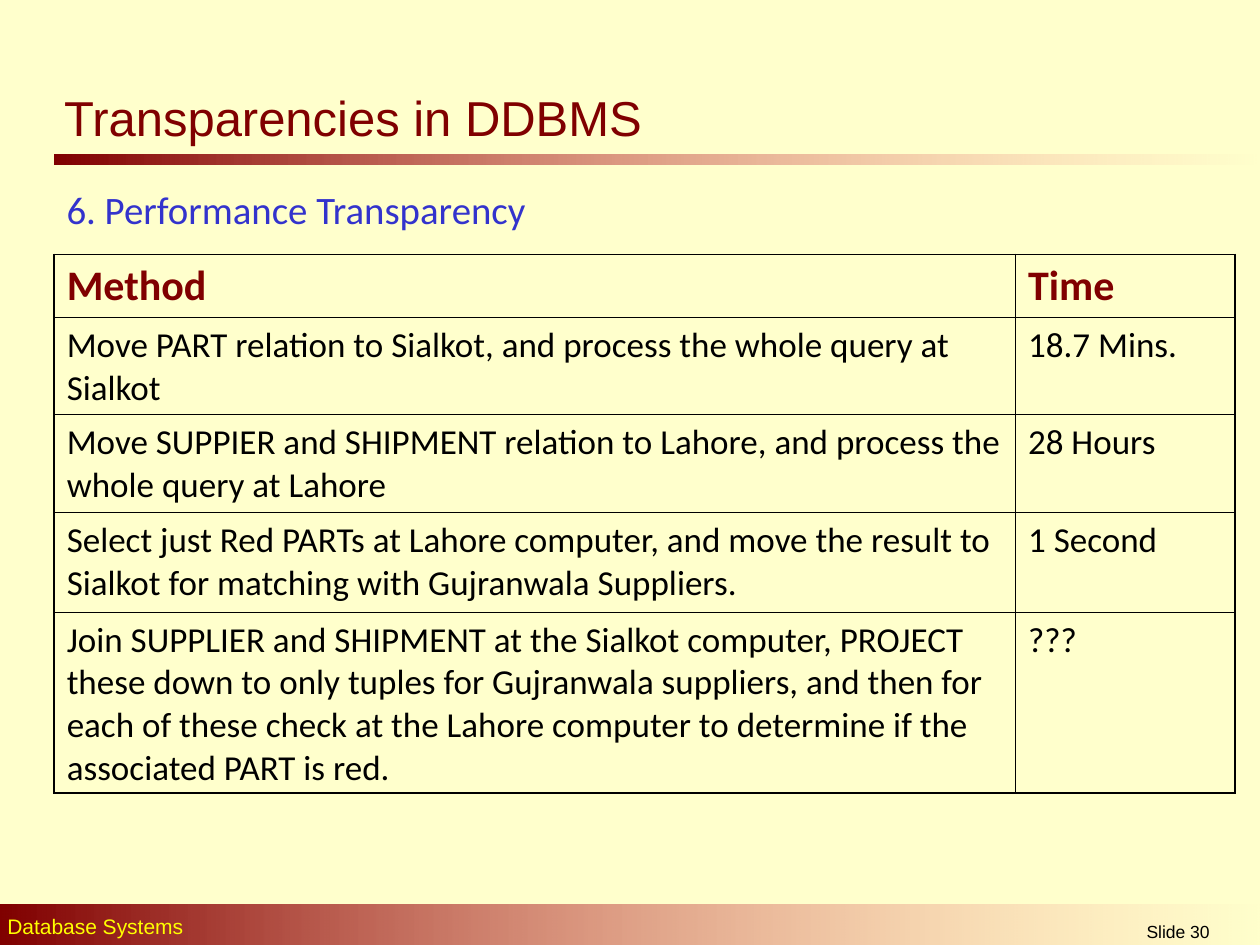
from lxml import etree
from pptx import Presentation
from pptx.dml.color import RGBColor
from pptx.enum.shapes import MSO_SHAPE
from pptx.enum.text import MSO_ANCHOR, MSO_AUTO_SIZE, PP_ALIGN
from pptx.oxml.ns import qn
from pptx.util import Inches, Pt

RECT = MSO_SHAPE.RECTANGLE
MIDDLE = MSO_ANCHOR.MIDDLE
TOP = MSO_ANCHOR.TOP
FIXED = MSO_AUTO_SIZE.NONE
LEFT = PP_ALIGN.LEFT
CENTER = PP_ALIGN.CENTER

COLORS = {
    "paper": "FFFFCC",
    "maroon": "800000",
    "pink": "FF8585",
    "blue": "3333CC",
    "yellow": "FFFF00",
    "black": "000000",
}
THICK, THIN = 1.08, 0.45


def color(name):
    return RGBColor.from_string(COLORS[name])


class Deck:
    def __init__(self, width, height):
        self.prs = Presentation()
        self.prs.slide_width = Inches(width)
        self.prs.slide_height = Inches(height)
        self.slide = None

    def page(self):
        self.slide = self.prs.slides.add_slide(self.prs.slide_layouts[5])
        fill = self.slide.background.fill
        fill.solid()
        fill.fore_color.rgb = color("paper")

    def put(self, frame, text, size, ink, font, bold=False, align=LEFT, before=0):
        para = frame.paragraphs[0]
        para.alignment = align
        para.space_before = Pt(before)
        run = para.add_run()
        run.text = text
        run.font.size = Pt(size)
        run.font.name = font
        run.font.bold = bold
        run.font.color.rgb = color(ink)
        return para

    def bar(self, *box):
        shape = self.slide.shapes.add_shape(RECT, *map(Inches, box))
        shape.shadow.inherit = False
        shape.line.fill.background()
        shape.fill.gradient()
        shape.fill.gradient_angle = 0
        first, last = shape.fill.gradient_stops
        first.color.rgb = color("maroon")
        last.color.rgb = color("pink")
        # Fade the right end out completely
        tint = shape._element.spPr.findall(".//" + qn("a:srgbClr"))[-1]
        etree.SubElement(tint, qn("a:alpha"), val="0")

    def title(self, box, text, size, ink, font):
        shape = self.slide.shapes.title
        shape.left, shape.top, shape.width, shape.height = map(Inches, box)
        frame = shape.text_frame
        frame.auto_size = FIXED
        frame.vertical_anchor = MIDDLE
        self.put(frame, text, size, ink, font)

    def label(self, box, text, size, ink, font, align=LEFT, before=0, pitch=None):
        frame = self.slide.shapes.add_textbox(*map(Inches, box)).text_frame
        frame.word_wrap = True
        para = self.put(frame, text, size, ink, font, align=align, before=before)
        if pitch:
            para.line_spacing = pitch

    def edges(self, cell, widths):
        props = cell._tc.get_or_add_tcPr()
        for side, width in zip("LRTB", widths):
            line = etree.SubElement(props, qn("a:ln" + side), w=str(int(Pt(width))))
            fill = etree.SubElement(line, qn("a:solidFill"))
            etree.SubElement(fill, qn("a:srgbClr"), val=COLORS["black"])

    def table(self, left, top, cols, rows, data, font):
        frame = self.slide.shapes.add_table(
            len(rows), len(cols), Inches(left), Inches(top),
            Inches(sum(cols)), Inches(sum(rows)))
        table = frame.table
        table.first_row = table.horz_banding = False
        for col, width in zip(table.columns, cols):
            col.width = Inches(width)
        for row, height in zip(table.rows, rows):
            row.height = Inches(height)
        for r, texts in enumerate(data):
            for c, text in enumerate(texts):
                cell = table.cell(r, c)
                outer = (c == 0, c == len(cols) - 1, r == 0, r == len(rows) - 1)
                self.edges(cell, [THICK if out else THIN for out in outer])
                cell.fill.background()
                cell.vertical_anchor = TOP
                head = r == 0
                self.put(cell.text_frame, text, 24 if head else 20,
                         "maroon" if head else "black", font,
                         bold=head, before=6 if head else 5)


def main():
    deck = Deck(10, 7.5)
    deck.page()

    # Title rule and footer
    deck.bar(0.43, 1.23, 9.57, 0.08)
    deck.bar(0, 7.18, 10.03, 0.35)
    deck.label((-0.04, 7.2, 6.46, 0.3), "Database Systems", 12, "yellow",
               "Arial", before=7.5)
    deck.label((8.31, 7.26, 2.08, 0.24), "Slide 30", 10, "black",
               "Arial", align=CENTER)

    # Headings
    deck.title((0.41, 0.63, 6.32, 0.6), "Transparencies in DDBMS", 28,
               "maroon", "Arial")
    deck.label((0.43, 1.47, 4.44, 0.47), "6. Performance Transparency", 22.2,
               "blue", "Calibri", before=6, pitch=0.9)

    # Query methods and their times
    data = [
        ("Method", "Time"),
        ("Move PART relation to Sialkot, and process the whole query at Sialkot",
         "18.7 Mins."),
        ("Move SUPPIER and SHIPMENT relation to Lahore, and process the whole "
         "query at Lahore", "28 Hours"),
        ("Select just Red PARTs at Lahore computer, and move the result to "
         "Sialkot for matching with Gujranwala Suppliers.", "1 Second"),
        ("Join SUPPLIER and SHIPMENT at the Sialkot computer, PROJECT these "
         "down to only tuples for Gujranwala suppliers, and then for each of "
         "these check at the Lahore computer to determine if the associated "
         "PART is red.", "???"),
    ]
    deck.table(0.43, 2.02, [7.63, 1.74], [0.5, 0.77, 0.78, 0.79, 1.43],
               data, "Calibri")

    deck.prs.save("out.pptx")


if __name__ == "__main__":
    main()
